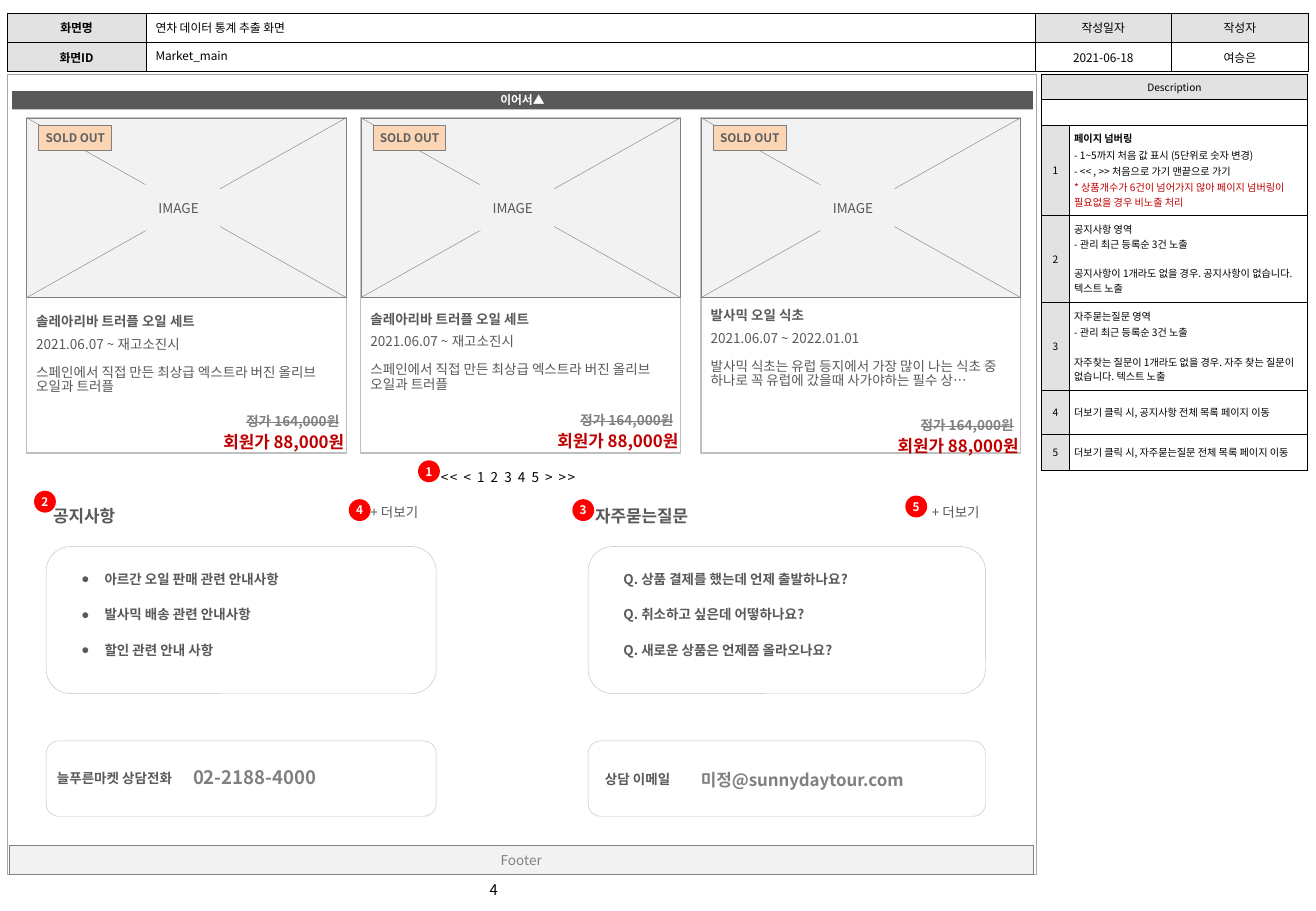
from lxml.etree import SubElement
from pptx import Presentation
from pptx.dml.color import RGBColor
from pptx.enum.shapes import MSO_CONNECTOR, MSO_SHAPE
from pptx.enum.text import MSO_ANCHOR, MSO_AUTO_SIZE, PP_ALIGN
from pptx.oxml.ns import qn
from pptx.util import Inches, Pt

FONT = "Noto Sans CJK KR"
BLACK, WHITE, RED = "000000", "FFFFFF", "C00000"
DARK, GRAY, LIGHT, PALE, HEAD = "595959", "808080", "BFBFBF", "F2F2F2", "E2E2E2"
CENTER, RIGHT = PP_ALIGN.CENTER, PP_ALIGN.RIGHT
TRUFFLE = ("솔레아리바 트러플 오일 세트", "2021.06.07 ~ 재고소진시",
           "스페인에서 직접 만든 최상급 엑스트라 버진 올리브 오일과 트러플")
VINEGAR = ("발사믹 오일 식초", "2021.06.07 ~ 2022.01.01",
           "발사믹 식초는 유럽 등지에서 가장 많이 나는 식초 중 하나로 꼭 유럽에 갔을때 사가야하는 필수 상…")
# Product text, card left, text top, price top
CARDS = [(TRUFFLE, 0.22, 2.53, 3.39), (TRUFFLE, 2.97, 2.51, 3.38), (VINEGAR, 5.77, 2.48, 3.42)]
NOTICES = ["아르간 오일 판매 관련 안내사항", "발사믹 배송 관련 안내사항", "할인 관련 안내 사항"]
QUESTIONS = ["Q. 상품 결제를 했는데 언제 출발하나요?", "Q. 취소하고 싶은데 어떻하나요?",
             "Q. 새로운 상품은 언제쯤 올라오나요?"]
MARKERS = [(3.44, 3.79), (0.28, 4.04), (4.71, 4.11), (2.87, 4.11), (7.45, 4.08)]
PARAGRAPH_GAP, BLOCK_GAP = {"space_before": Pt(1)}, {"space_before": Pt(9)}
DESCRIPTIONS = [
    [("페이지 넘버링", {"bold": True}),
     ("- 1~5까지 처음 값 표시 (5단위로 숫자 변경)", PARAGRAPH_GAP),
     ("- << , >> 처음으로 가기 맨끝으로 가기", PARAGRAPH_GAP),
     ("* 상품개수가 6건이 넘어가지 않아 페이지 넘버링이 필요없을 경우 비노출 처리",
      {"color": RED, **PARAGRAPH_GAP})],
    [("공지사항 영역", {}), ("- 관리 최근 등록순 3건 노출", {}),
     ("공지사항이 1개라도 없을 경우. 공지사항이 없습니다. 텍스트 노출", BLOCK_GAP)],
    [("자주묻는질문 영역", {}), ("- 관리 최근 등록순 3건 노출", PARAGRAPH_GAP),
     ("자주찾는 질문이 1개라도 없을 경우. 자주 찾는 질문이 없습니다. 텍스트 노출", BLOCK_GAP)],
    [("더보기 클릭 시, 공지사항 전체 목록 페이지 이동", {})],
    [("더보기 클릭 시, 자주묻는질문 전체 목록 페이지 이동", {})],
]


def rgb(value):
    return RGBColor.from_string(value)


def set_format(target, values):
    for name, value in values.items():
        setattr(target, name, value)


def add_line(frame, text, size=8, color=DARK, bold=False, strike=False, tracking=0,
             bullet=None, **layout):
    """Write one paragraph, using the first one while it is still empty."""
    first = frame.paragraphs[0]
    para = frame.add_paragraph() if first.runs else first
    set_format(para, {"alignment": PP_ALIGN.LEFT, "line_spacing": 1.0,
                      "space_before": Pt(0), "space_after": Pt(0), **layout})
    properties = para._p.get_or_add_pPr()
    indent = Inches(0.19) if bullet else 0
    properties.set("marL", str(indent))
    properties.set("indent", str(-indent))
    if bullet:
        SubElement(properties, qn("a:buChar"), char=bullet)
    else:
        SubElement(properties, qn("a:buNone"))
    span = para.add_run()
    span.text = text
    set_format(span.font, {"name": FONT, "size": Pt(size), "bold": bold})
    span.font.color.rgb = rgb(color)
    run_properties = span._r.get_or_add_rPr()
    SubElement(run_properties, qn("a:ea"), typeface=FONT)
    if strike:
        run_properties.set("strike", "sngStrike")
    if tracking:
        run_properties.set("spc", str(tracking))


def set_frame(frame, anchor, inset=0.1, wrap=True):
    set_format(frame, {"word_wrap": wrap, "auto_size": MSO_AUTO_SIZE.NONE,
                       "vertical_anchor": anchor,
                       "margin_left": Inches(inset), "margin_right": Inches(inset),
                       "margin_top": Inches(0.05), "margin_bottom": Inches(0.05)})


def add_label(page, text, left, top, width, height=0.24, **style):
    box = page.shapes.add_textbox(*map(Inches, (left, top, width, height)))
    set_frame(box.text_frame, MSO_ANCHOR.TOP)
    add_line(box.text_frame, text, **style)
    return box


def add_box(shapes, kind, left, top, width, height, fill=None, line=None, weight=0.25,
            text=None, inset=0.04, wrap=False, alignment=CENTER, **style):
    box = shapes.add_shape(kind, *map(Inches, (left, top, width, height)))
    box.shadow.inherit = False
    for paint, color in ((box.fill, fill), (box.line.fill, line)):
        if color:
            paint.solid()
            paint.fore_color.rgb = rgb(color)
        else:
            paint.background()
    if line:
        box.line.width = Pt(weight)
    if text:
        set_frame(box.text_frame, MSO_ANCHOR.MIDDLE, inset, wrap)
        add_line(box.text_frame, text, alignment=alignment, **style)


def fill_placeholder(holder, lines, left, top, width, height, anchor, **style):
    set_format(holder, dict(zip(("left", "top", "width", "height"),
                                map(Inches, (left, top, width, height)))))
    set_frame(holder.text_frame, anchor)
    for line in lines:
        add_line(holder.text_frame, line, **style)


def add_grid(page, left, top, columns, rows):
    frame = page.shapes.add_table(len(rows), len(columns), Inches(left), Inches(top),
                                  Inches(sum(columns)), Inches(sum(rows)))
    table = frame.table
    set_format(table, {"first_row": False, "horz_banding": False})
    for column, width in zip(table.columns, columns):
        column.width = Inches(width)
    for row, height in zip(table.rows, rows):
        row.height = Inches(height)
    return table


def fill_cell(cell, lines, size, fill=None, **style):
    set_format(cell, {"vertical_anchor": MSO_ANCHOR.MIDDLE,
                      "margin_left": Inches(0.04), "margin_right": Inches(0.04),
                      "margin_top": Inches(0.04), "margin_bottom": Inches(0.04)})
    properties = cell._tc.get_or_add_tcPr()
    for side in ("lnL", "lnR", "lnT", "lnB"):
        border = SubElement(properties, qn(f"a:{side}"), w=str(Pt(0.25)))
        paint = SubElement(border, qn("a:solidFill"))
        SubElement(paint, qn("a:srgbClr"), val=BLACK)
    if fill:
        cell.fill.solid()
        cell.fill.fore_color.rgb = rgb(fill)
    else:
        cell.fill.background()
    for text, own_style in lines:
        add_line(cell.text_frame, text, **{"size": size, "color": BLACK, **style, **own_style})
    if not lines:
        SubElement(cell.text_frame.paragraphs[0]._p, qn("a:endParaRPr"), sz=str(size * 100))


def add_header(page):
    table = add_grid(page, 0.06, 0.11, [1.14, 7.32, 1.12, 1.13], [0.24, 0.24])
    rows = [("화면명", "", "작성일자", "작성자"), ("화면ID", "", "2021-06-18", "여승은")]
    for r, texts in enumerate(rows):
        for c, text in enumerate(texts):
            shaded = c == 0 or (r == 0 and c > 1)
            fill_cell(table.cell(r, c), [(text, {})] if text else [], 7,
                      HEAD if shaded else None, bold=c == 0, alignment=CENTER)


def add_descriptions(page):
    table = add_grid(page, 8.57, 0.61, [0.23, 1.96], [0.21, 0.21, 0.74, 0.72, 0.72, 0.37, 0.29])
    for r, (lines, fill) in enumerate([([("Description", {})], HEAD), ([], WHITE)]):
        table.cell(r, 0).merge(table.cell(r, 1))
        for c in range(2):
            fill_cell(table.cell(r, c), lines if c == 0 else [], 6, fill, alignment=CENTER)
    for number, lines in enumerate(DESCRIPTIONS, 1):
        fill_cell(table.cell(number + 1, 0), [(str(number), {})], 6, HEAD, alignment=CENTER)
        fill_cell(table.cell(number + 1, 1), lines, 6, WHITE)


def add_image_area(page, left, top, width=2.63, height=1.48):
    shapes = page.shapes.add_group_shape().shapes
    add_box(shapes, MSO_SHAPE.RECTANGLE, left, top, width, height, PALE, GRAY)
    for start, end in ((left, left + width), (left + width, left)):
        diagonal = shapes.add_connector(MSO_CONNECTOR.STRAIGHT, *map(
            Inches, (start, top, end, top + height)))
        diagonal.line.width = Pt(0.25)
        diagonal.line.color.rgb = rgb(GRAY)
        SubElement(diagonal._element.spPr, qn("a:effectLst"))
    add_box(shapes, MSO_SHAPE.RECTANGLE, left + 0.91, 1.52, 0.68, 0.38, PALE, text="IMAGE")


def add_card(page, product, left, text_top, price_top):
    name, period, detail = product
    add_box(page.shapes, MSO_SHAPE.FLOWCHART_PROCESS, left, 0.97, 2.63, 2.76, WHITE, LIGHT, 0.75)
    add_image_area(page, left, 0.97)
    add_label(page, name, left - 0.02, text_top, 2, bold=True)
    summary = add_label(page, period, left - 0.02, text_top + 0.2, 2.63, 0.64, line_spacing=0.9)
    add_line(summary.text_frame, detail, line_spacing=0.9, space_before=Pt(8))
    price = {"wrap": True, "inset": 0.1, "alignment": RIGHT, "bold": True}
    add_box(page.shapes, MSO_SHAPE.FLOWCHART_PROCESS, left + 1.02, price_top, 1.65, 0.16,
            text="정가 164,000원", color=GRAY, strike=True, **price)
    add_box(page.shapes, MSO_SHAPE.FLOWCHART_PROCESS, left + 1.06, price_top + 0.17, 1.65, 0.16,
            text="회원가 88,000원", size=10, color=RED, **price)
    add_box(page.shapes, MSO_SHAPE.RECTANGLE, left + 0.1, 1.03, 0.6, 0.21, "FCD5B5", GRAY, 0.5,
            text="SOLD OUT", size=7, color="5F5F5F", bold=True)


def add_section(page, holder, left, width, title, more_left, lines, bullet=None):
    add_label(page, title, left - 0.04, 4.11, 1.16, 0.27, size=10, bold=True)
    add_label(page, "+ 더보기", more_left, 4.1, 0.7)
    for top, height in ((4.5, 1.21), (6.1, 0.62)):
        add_box(page.shapes, MSO_SHAPE.ROUNDED_RECTANGLE, left, top, width, height, line=LIGHT)
    fill_placeholder(holder, lines, left + 0.19, 4.65, 2.6, 0.95, MSO_ANCHOR.TOP,
                     bold=True, bullet=bullet, space_after=Pt(11.4))


def main():
    deck = Presentation()
    set_format(deck, {"slide_width": Inches(10.83), "slide_height": Inches(7.5)})
    page = deck.slides.add_slide(deck.slide_layouts[4])
    title, screen_id, notices, unused, questions = page.placeholders
    unused._element.getparent().remove(unused._element)
    for holder, text, top in ((title, "연차 데이터 통계 추출 화면", 0.11),
                              (screen_id, "Market_main", 0.34)):
        fill_placeholder(holder, [text], 1.18, top, 5.24, 0.24, MSO_ANCHOR.MIDDLE,
                         size=7, color=BLACK)
    add_header(page)
    add_label(page, "4", 3.93, 7.2, 0.48, size=8.7, color=BLACK)
    add_box(page.shapes, MSO_SHAPE.RECTANGLE, 0.06, 0.61, 8.47, 6.59, line="A6A6A6")
    add_descriptions(page)
    add_box(page.shapes, MSO_SHAPE.RECTANGLE, 0.1, 0.75, 8.4, 0.15, DARK,
            text="이어서▲", size=7, color=WHITE, bold=True)
    add_section(page, notices, 0.38, 3.21, "공지사항", 2.95, NOTICES, "●")
    add_section(page, questions, 4.84, 3.27, "자주묻는질문", 7.57, QUESTIONS)
    add_label(page, "늘푸른마켓 상담전화", 0.37, 6.29, 1.94, bold=True)
    add_label(page, "02-2188-4000", 1.49, 6.26, 2.08, 0.29, size=11, color=GRAY, bold=True)
    add_label(page, "상담 이메일", 4.88, 6.3, 1.16, bold=True)
    add_label(page, "미정@sunnydaytour.com", 5.67, 6.29, 2.2, 0.27, size=10, color=GRAY, bold=True)
    add_box(page.shapes, MSO_SHAPE.RECTANGLE, 0.08, 6.96, 8.42, 0.24, PALE, GRAY,
            text="Footer", color=GRAY)
    for card in CARDS:
        add_card(page, *card)
    add_label(page, "<< < 1 2 3 4 5 > >>", 3.53, 3.81, 1.45, color=BLACK, tracking=90)
    for number, (left, top) in enumerate(MARKERS, 1):
        add_box(page.shapes, MSO_SHAPE.OVAL, left, top, 0.18, 0.18, "FF0000",
                text=str(number), size=7, color=WHITE, bold=True)
    deck.save("out.pptx")


if __name__ == "__main__":
    main()
